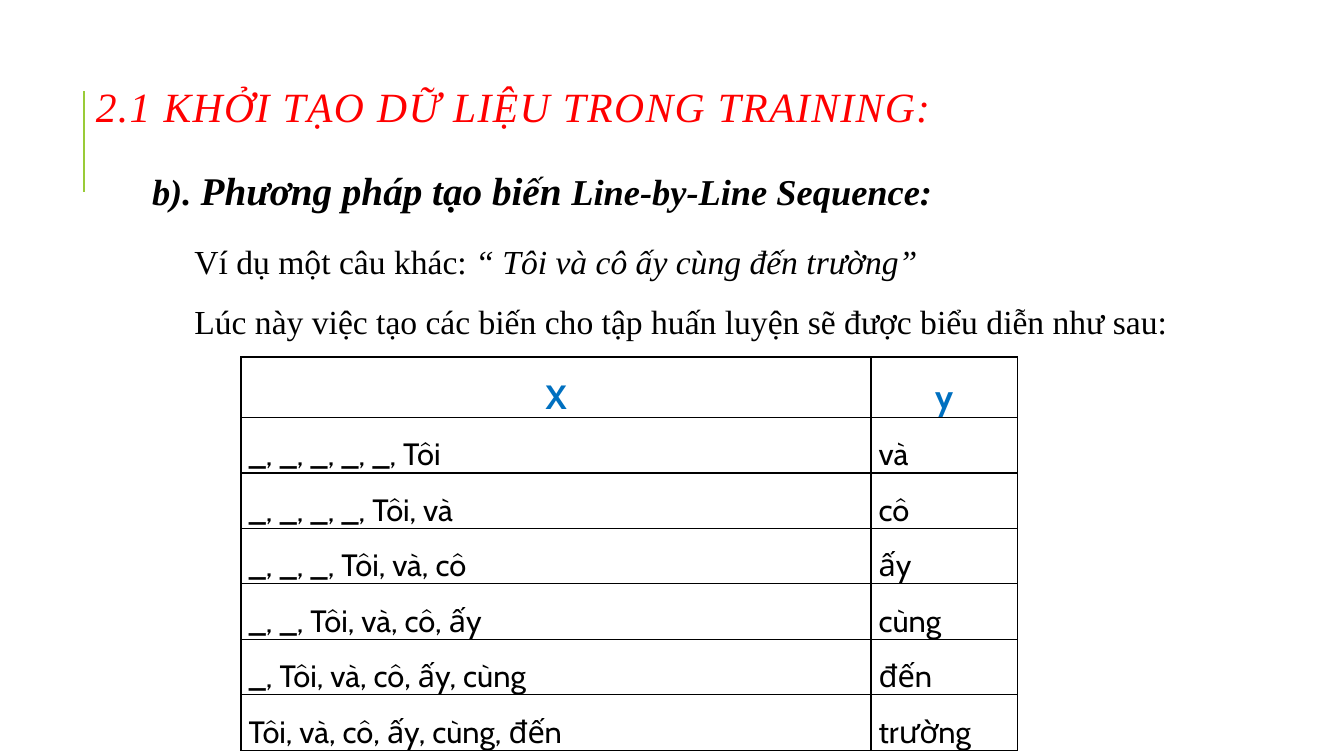
from lxml.etree import SubElement
from pptx import Presentation
from pptx.dml.color import RGBColor
from pptx.enum.shapes import MSO_CONNECTOR
from pptx.enum.text import MSO_ANCHOR, MSO_AUTO_SIZE, PP_ALIGN
from pptx.oxml.ns import qn
from pptx.util import Pt

COLORS = {"red": "FF0000", "green": "99CB38", "blue": "0070C0",
          "black": "000000", "white": "FFFFFF"}
SERIF = "Times New Roman"
SANS = "Cabin"
WORDS = ["Tôi", "và", "cô", "ấy", "cùng", "đến", "trường"]


def color(name):
    return RGBColor.from_string(COLORS[name])


def style(run, face, size, hue="black", bold=False, italic=False):
    font = run.font
    font.name, font.size = face, Pt(size)
    font.bold, font.italic = bold, italic
    font.color.rgb = color(hue)


def add_runs(para, parts):
    """Add (text, size, bold, italic) parts to a paragraph."""
    for text, size, bold, italic in parts:
        run = para.add_run()
        run.text = text
        style(run, SERIF, size, bold=bold, italic=italic)


def add_box(slide, left, top, width, height, wrap):
    box = slide.shapes.add_textbox(Pt(left), Pt(top), Pt(width), Pt(height))
    frame = box.text_frame
    frame.word_wrap = wrap
    frame.auto_size = MSO_AUTO_SIZE.SHAPE_TO_FIT_TEXT
    return frame


def add_rule(slide):
    rule = slide.shapes.add_connector(
        MSO_CONNECTOR.STRAIGHT, Pt(60), Pt(136.8), Pt(60), Pt(65))
    rule.line.color.rgb = color("green")
    rule.line.width = Pt(1.5)
    SubElement(rule._element.spPr, qn("a:effectLst"))


def set_title(slide, text):
    title = slide.shapes.title
    title.left, title.top = Pt(61.2), Pt(55)
    title.width, title.height = Pt(877), Pt(41)
    frame = title.text_frame
    frame.text = text
    frame.auto_size = MSO_AUTO_SIZE.NONE
    frame.vertical_anchor = MSO_ANCHOR.MIDDLE
    para = frame.paragraphs[0]
    para.alignment = PP_ALIGN.LEFT
    run = para.runs[0]
    style(run, SERIF, 29.7, "red", italic=True)
    run._r.get_or_add_rPr().set("spc", "100")


def add_body(slide, lines):
    frame = add_box(slide, 95.8, 154, 803, 94.3, True)
    for i, parts in enumerate(lines):
        para = frame.add_paragraph() if i else frame.paragraphs[0]
        para.alignment = PP_ALIGN.JUSTIFY
        para.line_spacing = 1.5
        para._p.get_or_add_pPr().set("indent", str(Pt(36)))
        add_runs(para, parts)


def add_border(cell):
    props = cell._tc.get_or_add_tcPr()
    for side in ("lnL", "lnR", "lnT", "lnB"):
        line = SubElement(props, qn("a:" + side), w=str(Pt(1)))
        fill = SubElement(line, qn("a:solidFill"))
        SubElement(fill, qn("a:srgbClr"), val=COLORS["black"])


def fill_cell(cell, text, head):
    cell.margin_left = cell.margin_right = Pt(5.4)
    cell.margin_top = cell.margin_bottom = 0
    cell.vertical_anchor = MSO_ANCHOR.MIDDLE
    add_border(cell)
    cell.fill.background()
    para = cell.text_frame.paragraphs[0]
    para.text = text
    para.line_spacing = 1.5
    para.alignment = PP_ALIGN.CENTER if head else PP_ALIGN.JUSTIFY
    style(para.runs[0], SANS, 24 if head else 22,
          "blue" if head else "black", bold=head)


def make_rows(words):
    """Pair each padded run of words with the word that follows it."""
    size = len(words) - 1
    rows = [("X", "y")]
    for i in range(1, size + 1):
        past = ["_"] * (size - i) + words[:i]
        rows.append((", ".join(past), words[i]))
    return rows


def add_grid(slide, rows):
    table = slide.shapes.add_table(
        len(rows), 2, Pt(172.2), Pt(255), Pt(554.4), Pt(281)).table
    table.horz_banding = False
    table.columns[0].width, table.columns[1].width = Pt(450), Pt(104.4)
    for i, row in enumerate(rows):
        table.rows[i].height = Pt(34.6 if i else 37.4)
        for j, text in enumerate(row):
            fill_cell(table.cell(i, j), text, i == 0)


def main():
    deck = Presentation()
    deck.slide_width, deck.slide_height = Pt(960), Pt(540)
    slide = deck.slides.add_slide(deck.slide_layouts[5])
    slide.background.fill.solid()
    slide.background.fill.fore_color.rgb = color("white")
    add_rule(slide)
    set_title(slide, "2.1 KHỞI TẠO DỮ LIỆU TRONG TRAINING:")
    head = add_box(slide, 101.5, 115.2, 577.4, 41, False)
    add_runs(head.paragraphs[0], [
        ("b). ", 26, True, True),
        ("Phương pháp tạo biến ", 28, True, True),
        ("Line-by-Line Sequence:", 26, True, True)])
    add_body(slide, [
        [("Ví dụ một câu khác: ", 24, False, False),
         ("“ Tôi và cô ấy cùng đến trường”", 24, False, True)],
        [("Lúc này việc tạo các biến cho tập huấn luyện sẽ được "
          "biểu diễn như sau:", 24, False, False)]])
    add_grid(slide, make_rows(WORDS))
    deck.save("out.pptx")


if __name__ == "__main__":
    main()
